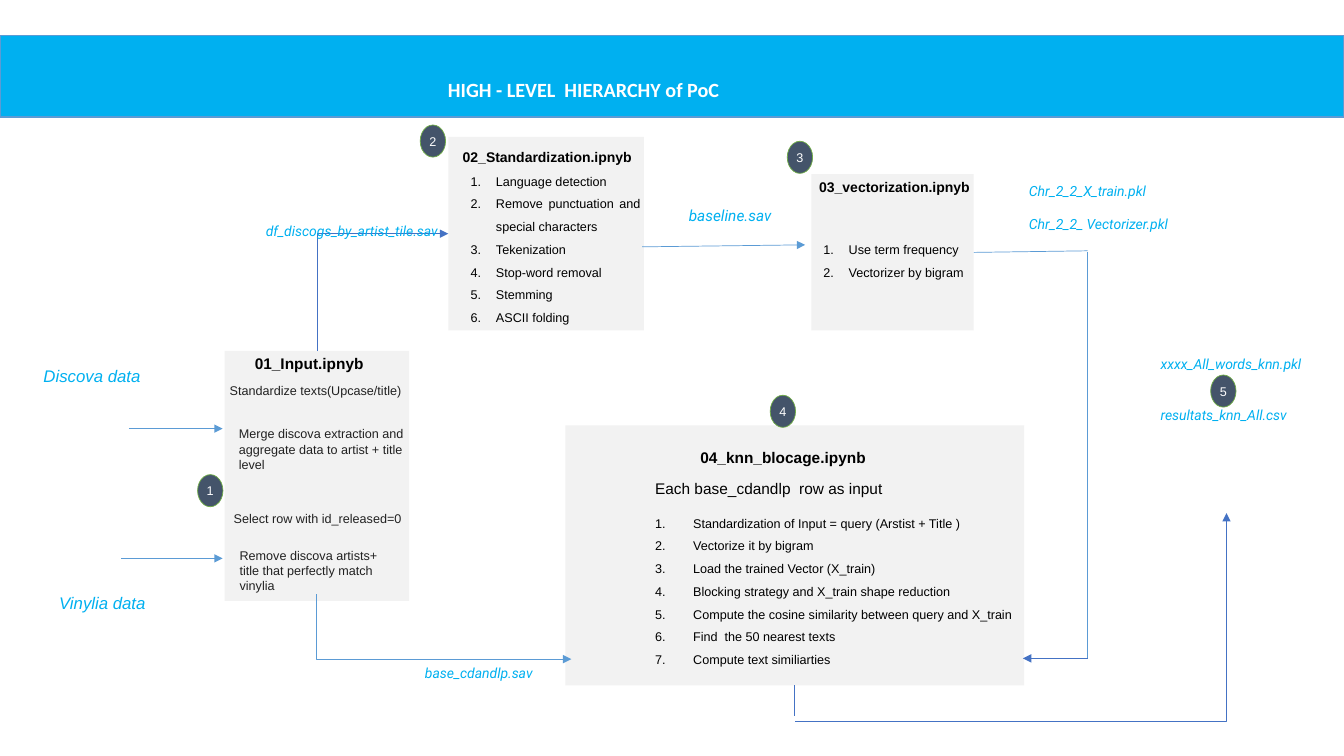
from dataclasses import dataclass
from typing import Optional

from lxml.etree import SubElement
from pptx import Presentation
from pptx.dml.color import RGBColor
from pptx.enum.shapes import MSO_CONNECTOR as Link, MSO_SHAPE as Preset
from pptx.enum.text import MSO_ANCHOR as Anchor, PP_ALIGN as Align
from pptx.oxml.ns import qn
from pptx.util import Cm, Pt


@dataclass(frozen=True)
class Theme:
    band: str = "00B0F0"
    panel: str = "F2F2F2"
    badge: str = "44546A"
    badge_edge: str = "70AD47"
    light_line: str = "5B9BD5"
    dark_line: str = "4472C4"
    black: str = "000000"
    body: str = "212121"
    white: str = "FFFFFF"
    sans: str = "Arial"
    file_font: str = "Roboto"
    title_font: str = "Calibri"
    title_size: float = 14.4
    source_size: float = 12
    heading_size: float = 11
    label_size: float = 10
    body_size: float = 9


@dataclass(frozen=True)
class Box:
    left: float
    top: float
    width: float
    height: float


@dataclass(frozen=True)
class Badge:
    number: str
    left: float
    top: float


@dataclass(frozen=True)
class Arrow:
    start: tuple[float, float]
    end: tuple[float, float]
    color: str
    arrow_at: Optional[str] = "tailEnd"
    bent: bool = False
    from_panel: Optional[str] = None
    from_side: int = 0


@dataclass(frozen=True)
class Label:
    text: str
    box: Box
    style: dict


THEME = Theme()
BAND = Box(0, 0.89, 33.87, 2.06)
PANELS = {
    "input": Box(5.66, 8.84, 4.65, 6.3),
    "standardization": Box(11.3, 3.45, 4.93, 4.88),
    "vectorization": Box(20.45, 4.39, 4.09, 3.94),
    "blocking": Box(14.25, 10.72, 11.56, 6.55),
}
BADGES = [
    Badge("1", 4.98, 11.96), Badge("2", 10.59, 3.15), Badge("3", 19.84, 3.56),
    Badge("4", 19.41, 9.96), Badge("5", 30.51, 9.45),
]
ARROWS = [
    Arrow((3.25, 10.8), (5.61, 10.8), THEME.light_line),
    Arrow((3.05, 14.07), (5.61, 14.07), THEME.light_line),
    Arrow((16.18, 6.22), (20.29, 6.17), THEME.light_line),
    Arrow((24.54, 6.36), (27.41, 6.32), THEME.light_line, None, False, "vectorization", 3),
    Arrow((27.41, 6.35), (27.41, 16.6), THEME.light_line, None),
    Arrow((27.41, 16.59), (25.78, 16.59), THEME.dark_line),
    Arrow((20.03, 17.27), (20.03, 18.03), THEME.dark_line, None, False, "blocking", 2),
    Arrow((11.3, 5.89), (8, 8.84), THEME.dark_line, "headEnd", True),
    Arrow((14.4, 16.61), (7.98, 14.96), THEME.light_line, "headEnd", True),
    Arrow((20.04, 18.19), (30.91, 12.93), THEME.dark_line, "tailEnd", True),
]

HEADING = dict(size=THEME.heading_size, bold=True)
CENTERED_HEADING = dict(size=THEME.label_size, bold=True, align=Align.CENTER)
SOURCE = dict(size=THEME.source_size, italic=True, color=THEME.band, align=Align.CENTER)
FILE = dict(size=THEME.label_size, italic=True, color=THEME.band, font=THEME.file_font)
BODY = dict(color=THEME.body)
STEPS = dict(indent=0.64, line_spacing=1.5, align=Align.JUSTIFY)

LABELS = [
    Label("HIGH - LEVEL  HIERARCHY of PoC", Box(0, 2.01, 29.42, 0.69),
          dict(size=THEME.title_size, bold=True, color=THEME.white, font=THEME.title_font,
               align=Align.CENTER, anchor=Anchor.BOTTOM, line_spacing=0.9)),
    Label("01_Input.ipnyb", Box(5.66, 8.79, 4.27, 0.74), HEADING | dict(align=Align.CENTER)),
    Label("02_Standardization.ipnyb", Box(8.66, 3.63, 10.26, 0.69), CENTERED_HEADING),
    Label("03_vectorization.ipnyb", Box(20.04, 4.37, 5, 0.69), CENTERED_HEADING),
    Label("04_knn_blocage.ipynb", Box(17.4, 11.18, 8, 0.74), HEADING),
    Label("Discova data", Box(0.3, 9.09, 4.04, 0.76), SOURCE),
    Label("Vinylia data", Box(0.56, 14.81, 4.04, 0.76), SOURCE),
    Label("Standardize texts(Upcase/title)", Box(5.54, 9.53, 4.9, 0.64), BODY),
    Label("Merge discova extraction and aggregate data to artist + title level",
          Box(5.77, 10.62, 4.9, 1.42), BODY),
    Label("Select row with id_released=0", Box(5.64, 12.75, 4.9, 0.99), BODY),
    Label("Remove discova artists+ title that perfectly match vinylia",
          Box(5.79, 13.67, 4.24, 1.42), BODY),
    Label("df_discogs_by_artist_tile.sav", Box(6.45, 5.49, 6, 0.69), FILE),
    Label("base_cdandlp.sav", Box(10.46, 16.61, 4.27, 0.69), FILE),
    Label("baseline.sav", Box(17.11, 5.08, 3, 0.74), FILE | dict(size=THEME.heading_size)),
    Label("Chr_2_2_X_train.pkl\nChr_2_2_ Vectorizer.pkl", Box(25.68, 4.47, 4.5, 1.55),
          FILE | dict(gap=12)),
    Label("xxxx_All_words_knn.pkl\nresultats_knn_All.csv", Box(29, 8.84, 4.6, 1.96),
          FILE | dict(gap=24)),
    Label("Language detection\nRemove punctuation and special characters\nTekenization\n"
          "Stop-word removal\nStemming\nASCII folding", Box(11.61, 4.06, 4.78, 4.22), STEPS),
    Label("Use term frequency\nVectorizer by bigram", Box(20.5, 5.79, 4.5, 1.91), STEPS),
]
QUERY_BOX = Box(16.26, 11.96, 12.7, 4.93)
QUERY_STEPS = """Standardization of Input = query (Arstist + Title )
Vectorize it by bigram
Load the trained Vector (X_train)
Blocking strategy and X_train shape reduction
Compute the cosine similarity between query and X_train
Find  the 50 nearest texts
Compute text similiarties"""


def place(box: Box) -> tuple:
    return Cm(box.left), Cm(box.top), Cm(box.width), Cm(box.height)


def add_paragraph(frame, text: str, *, size: float = THEME.body_size, bold: bool = False,
                  italic: bool = False, color: str = THEME.black, font: str = THEME.sans,
                  align=Align.LEFT, indent: float = 0, line_spacing: float = 1,
                  gap: float = 0) -> None:
    """Fill the frame's first paragraph, or append one with a gap above in points."""
    is_first = not frame.text
    paragraph = frame.paragraphs[0] if is_first else frame.add_paragraph()
    paragraph.alignment, paragraph.line_spacing = align, line_spacing
    paragraph.space_before = Pt(0 if is_first else gap)
    if indent:
        properties = paragraph._p.get_or_add_pPr()
        properties.set("marL", str(Cm(indent)))
        properties.set("indent", str(-Cm(indent)))
        SubElement(properties, qn("a:buFont"), typeface="+mj-lt")
        SubElement(properties, qn("a:buAutoNum"), type="arabicPeriod")
    run = paragraph.add_run()
    run.text = text
    run.font.name, run.font.size = font, Pt(size)
    run.font.bold, run.font.italic = bold, italic
    run.font.color.rgb = RGBColor.from_string(color)


def add_text_box(slide, box: Box, text: str, *, anchor=Anchor.TOP, **style):
    frame = slide.shapes.add_textbox(*place(box)).text_frame
    frame.word_wrap, frame.vertical_anchor = True, anchor
    for line in text.split("\n"):
        add_paragraph(frame, line, **style)
    return frame


def add_filled(slide, preset, box: Box, fill: str, edge: Optional[str] = None, weight: float = 1):
    shape = slide.shapes.add_shape(preset, *place(box))
    shape.shadow.inherit = False
    shape.fill.solid()
    shape.fill.fore_color.rgb = RGBColor.from_string(fill)
    if edge:
        shape.line.color.rgb = RGBColor.from_string(edge)
        shape.line.width = Pt(weight)
    else:
        shape.line.fill.background()
    return shape


def add_badge(slide, badge: Badge) -> None:
    shape = add_filled(slide, Preset.OVAL, Box(badge.left, badge.top, 0.64, 0.81),
                       THEME.badge, THEME.badge_edge, 0.5)
    frame = shape.text_frame
    frame.margin_left = frame.margin_right = frame.margin_top = frame.margin_bottom = 0
    frame.vertical_anchor = Anchor.MIDDLE
    add_paragraph(frame, badge.number, color=THEME.white, align=Align.CENTER)


def add_arrow(slide, arrow: Arrow, panels: dict) -> None:
    """Draw a straight line, or one bend that runs horizontally first."""
    points = [Cm(value) for value in arrow.start + arrow.end]
    connector = slide.shapes.add_connector(Link.ELBOW if arrow.bent else Link.STRAIGHT, *points)
    properties = connector._element.spPr
    if arrow.bent:
        properties.find(qn("a:prstGeom")).set("prst", "bentConnector2")
    connector.line.color.rgb = RGBColor.from_string(arrow.color)
    connector.line.width = Pt(0.5)
    if arrow.arrow_at:
        SubElement(connector.line._get_or_add_ln(), qn(f"a:{arrow.arrow_at}"), type="triangle")
    SubElement(properties, qn("a:effectLst"))
    if arrow.from_panel:
        connector.begin_connect(panels[arrow.from_panel], arrow.from_side)


def main() -> None:
    presentation = Presentation()
    presentation.slide_width, presentation.slide_height = Cm(33.87), Cm(19.05)
    slide = presentation.slides.add_slide(presentation.slide_layouts[6])
    add_filled(slide, Preset.RECTANGLE, BAND, THEME.band, THEME.light_line)
    panels = {name: add_filled(slide, Preset.RECTANGLE, box, THEME.panel)
              for name, box in PANELS.items()}
    for arrow in ARROWS:
        add_arrow(slide, arrow, panels)
    for label in LABELS:
        add_text_box(slide, label.box, label.text, **label.style)
    query = add_text_box(slide, QUERY_BOX, "Each base_cdandlp  row as input", size=THEME.heading_size)
    for index, step in enumerate(QUERY_STEPS.split("\n")):
        add_paragraph(query, step, indent=0.96, line_spacing=1.5 if index else 1,
                      gap=0 if index else 12.5)
    for badge in BADGES:
        add_badge(slide, badge)
    presentation.save("out.pptx")


if __name__ == "__main__":
    main()
